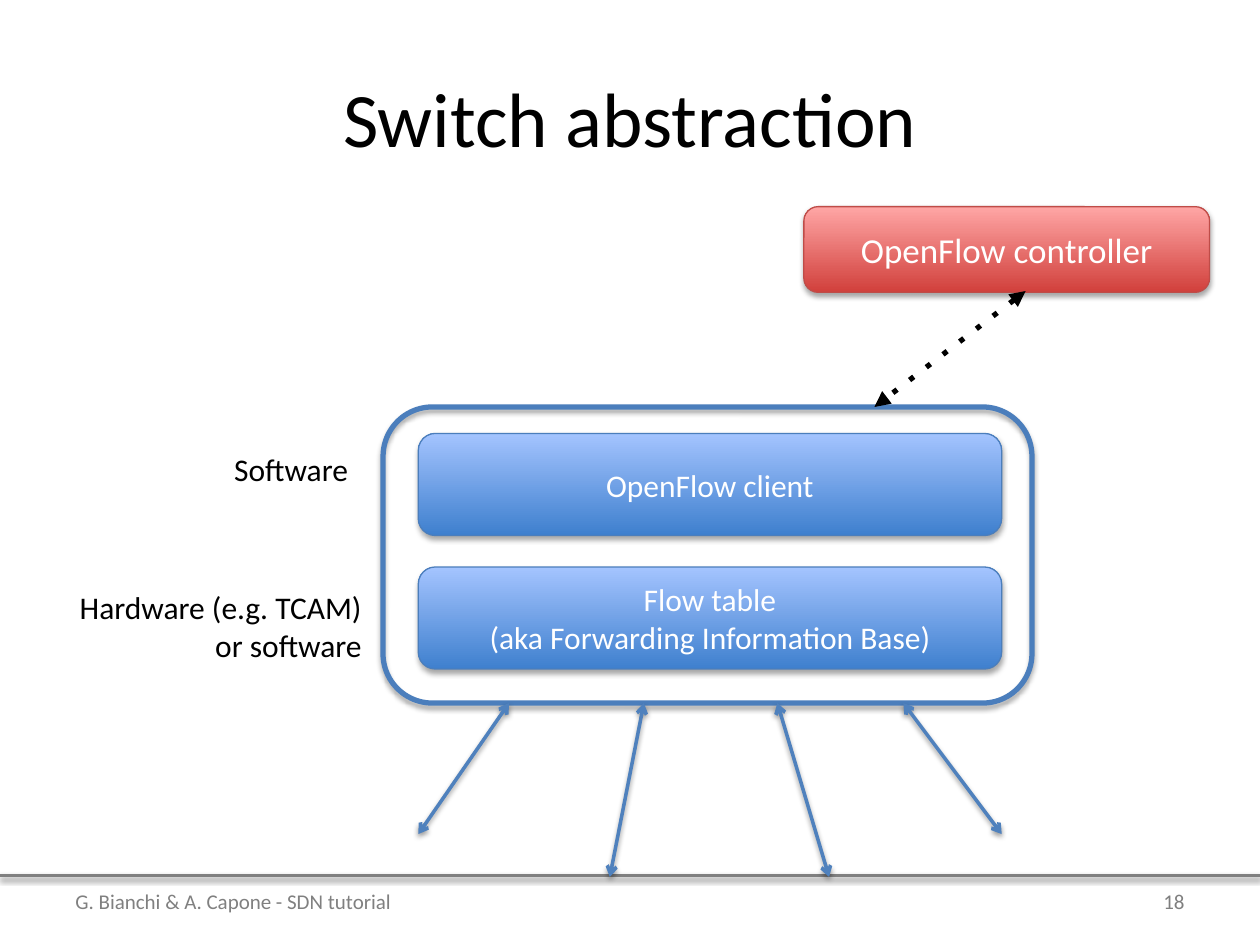
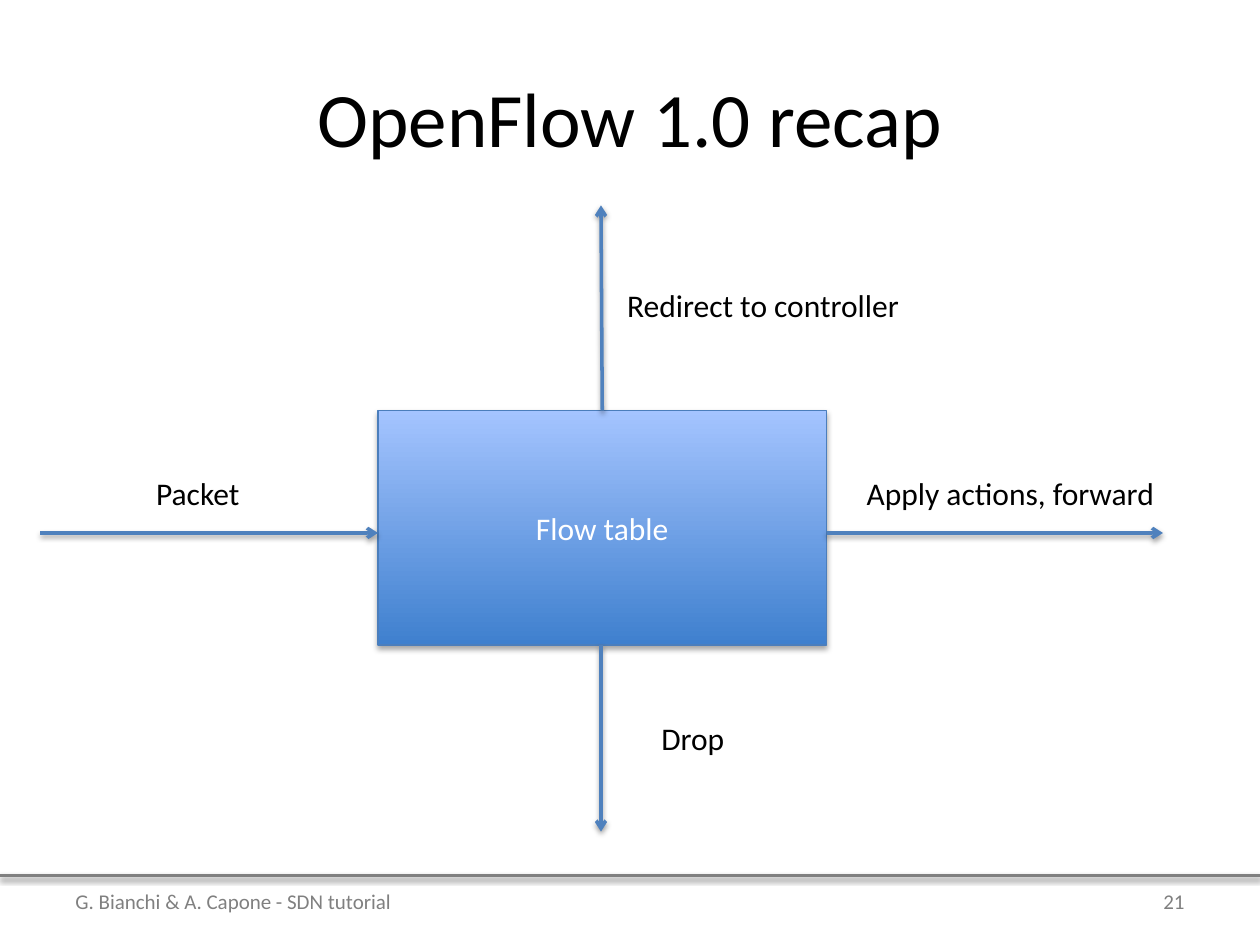
"""Build two slides on the OpenFlow switch and its flow table."""
from lxml.etree import SubElement
from pptx import Presentation
from pptx.dml.color import RGBColor
from pptx.enum.shapes import MSO_CONNECTOR, MSO_SHAPE
from pptx.enum.text import MSO_ANCHOR, MSO_AUTO_SIZE, PP_ALIGN
from pptx.oxml.ns import qn
from pptx.util import Inches, Pt

WIDTH, HEIGHT = 10, 7.5
MARGIN, FOOTER_TOP, FOOTER_HEIGHT = 0.5, 6.95, 0.4
FONT = "Calibri"
COLORS = {
    "ink": "000000", "paper": "FFFFFF", "rule": "808080", "number": "7F7F7F",
    "arrow": "4F81BD", "blue_edge": "4B7EBC", "blue_dark": "3F80CE",
    "blue_light": "A4C4FF", "red_edge": "BF4C48", "red_dark": "D1403C",
    "red_light": "FFA6A5",
}
FOOTER = "G. Bianchi & A. Capone - SDN tutorial"

SWITCH = (3.04, 3.23, 5.15, 2.35)
LAYER_LEFT, LAYER_TOP, LAYER_WIDTH, LAYER_HEIGHT, LAYER_STEP = 3.32, 3.44, 4.63, 0.81, 1.06
LAYERS = [["OpenFlow client"], ["Flow table", "(aka Forwarding Information Base)"]]
LAYER_LABELS = [
    (["Software"], (1.76, 3.52, 1.12, 0.4), "left"),
    (["Hardware (e.g. TCAM)", "or software"], (0.5, 4.62, 2.47, 0.71), "right"),
]
PORTS = [(4.04, 3.32, 6.62), (5.11, 4.84, 6.96), (6.17, 6.58, 6.96), (7.17, 7.95, 6.62)]
CONTROLLER = (6.38, 1.64, 3.22, 0.68)
CONTROL_CHANNEL = ((8.14, 2.31), (6.94, 3.23))

TABLE = (3, 3.26, 3.56, 1.86)
FLOW_LEVEL, FLOW_AXIS = 4.23, 4.77
FLOWS = [
    ((0.32, FLOW_LEVEL), (TABLE[0], FLOW_LEVEL)),
    ((TABLE[0] + TABLE[2], FLOW_LEVEL), (9.23, FLOW_LEVEL)),
    ((4.78, TABLE[1]), (FLOW_AXIS, 1.63)),
    ((FLOW_AXIS, TABLE[1] + TABLE[3]), (FLOW_AXIS, 6.6)),
]
FLOW_LABELS = [
    ("Redirect to controller", 4.88, 2.22, 2.4),
    ("Packet", 1.14, 3.71, 0.89),
    ("Apply actions, forward", 6.78, 3.71, 2.52),
    ("Drop", 5.15, 5.66, 0.71),
]
ALIGNS = {"left": PP_ALIGN.LEFT, "center": PP_ALIGN.CENTER, "right": PP_ALIGN.RIGHT}


def color(name):
    return RGBColor.from_string(COLORS[name])


def inches(values):
    return [Inches(value) for value in values]


def write(frame, lines, size=18, ink="ink", align="left", **settings):
    for name, value in settings.items():
        setattr(frame, name, value)
    para = frame.paragraphs[0]
    para.alignment = ALIGNS[align]
    for index, line in enumerate(lines):
        if index:
            para.add_line_break()
        span = para.add_run()
        span.text = line
        for name, value in {"name": FONT, "size": Pt(size)}.items():
            setattr(span.font, name, value)
        span.font.color.rgb = color(ink)


def set_line(line, name, width):
    line.color.rgb = color(name)
    line.width = Pt(width)


def set_shadow(shape, alpha=None, distance=0):
    effects = SubElement(shape.element.spPr, qn("a:effectLst"))
    if alpha:
        shadow = SubElement(effects, qn("a:outerShdw"), blurRad=str(Pt(3.1)),
                            dist=str(Pt(distance)), dir="5400000", rotWithShape="0")
        tint = SubElement(shadow, qn("a:srgbClr"), val=COLORS["ink"])
        SubElement(tint, qn("a:alpha"), val=str(alpha * 1000))


def add_box(page, place, lines=(), size=18, tone="blue", filled=True,
            kind=MSO_SHAPE.ROUNDED_RECTANGLE):
    box = page.shapes.add_shape(kind, *inches(place))
    if filled:
        box.fill.gradient()
        box.fill.gradient_angle = 90
        for stop, shade in zip(box.fill.gradient_stops, ("dark", "light")):
            stop.color.rgb = color(f"{tone}_{shade}")
    else:
        box.fill.background()
    set_line(box.line, f"{tone}_edge", 0.75 if filled else 3)
    set_shadow(box, 35, 1.8)
    write(box.text_frame, lines, size, "paper", "center",
          word_wrap=True, vertical_anchor=MSO_ANCHOR.MIDDLE)


def add_line(page, start, end, ink="arrow", width=2, head=None, tail=None,
             dash=None, shaded=True):
    link = page.shapes.add_connector(MSO_CONNECTOR.STRAIGHT, *inches(start + end))
    set_line(link.line, ink, width)
    outline = link.element.spPr.find(qn("a:ln"))
    if dash:
        SubElement(outline, qn("a:prstDash"), val=dash)
    for tag, arrow in (("a:headEnd", head), ("a:tailEnd", tail)):
        if arrow:
            SubElement(outline, qn(tag), type=arrow)
    set_shadow(link, 38 if shaded else None, 1.6)


def add_label(page, lines, place, align="left"):
    label = page.shapes.add_textbox(*inches(place))
    write(label.text_frame, lines, align=align, word_wrap=False,
          auto_size=MSO_AUTO_SIZE.SHAPE_TO_FIT_TEXT)


def add_page(deck, title, number):
    page = deck.slides.add_slide(deck.slide_layouts[5])
    add_line(page, (0, FOOTER_TOP), (WIDTH, FOOTER_TOP), "rule")
    heading = page.shapes.title
    places = inches((MARGIN, 0.3, WIDTH - 2 * MARGIN, 1.25))
    for name, value in zip(("left", "top", "width", "height"), places):
        setattr(heading, name, value)
    write(heading.text_frame, [title], 44, "ink", "center",
          vertical_anchor=MSO_ANCHOR.MIDDLE)
    for text, left, width, ink, align in (
            (FOOTER, MARGIN, 6.08, "rule", "left"),
            (str(number), 7.17, 2.33, "number", "right")):
        note = page.shapes.add_textbox(*inches((left, FOOTER_TOP, width, FOOTER_HEIGHT)))
        write(note.text_frame, [text], 12, ink, align,
              word_wrap=True, vertical_anchor=MSO_ANCHOR.MIDDLE)
    return page


def build_switch(deck):
    page = add_page(deck, "Switch abstraction", 18)
    for row, lines in enumerate(LAYERS):
        top = LAYER_TOP + row * LAYER_STEP
        add_box(page, (LAYER_LEFT, top, LAYER_WIDTH, LAYER_HEIGHT), lines)
    add_box(page, SWITCH, filled=False)
    for port, target, bottom in PORTS:
        add_line(page, (port, SWITCH[1] + SWITCH[3]), (target, bottom),
                 head="arrow", tail="arrow")
    add_box(page, CONTROLLER, ["OpenFlow controller"], 20, "red")
    add_line(page, *CONTROL_CHANNEL, "ink", 3, "triangle", "triangle", "dot", False)
    for label in LAYER_LABELS:
        add_label(page, *label)


def build_recap(deck):
    page = add_page(deck, "OpenFlow 1.0 recap", 21)
    add_box(page, TABLE, ["Flow table"], kind=MSO_SHAPE.RECTANGLE)
    for start, end in FLOWS:
        add_line(page, start, end, tail="arrow")
    for text, left, top, width in FLOW_LABELS:
        add_label(page, [text], (left, top, width, 0.4))


def main():
    deck = Presentation()
    deck.slide_width, deck.slide_height = inches((WIDTH, HEIGHT))
    build_switch(deck)
    build_recap(deck)
    deck.save("out.pptx")


if __name__ == "__main__":
    main()
